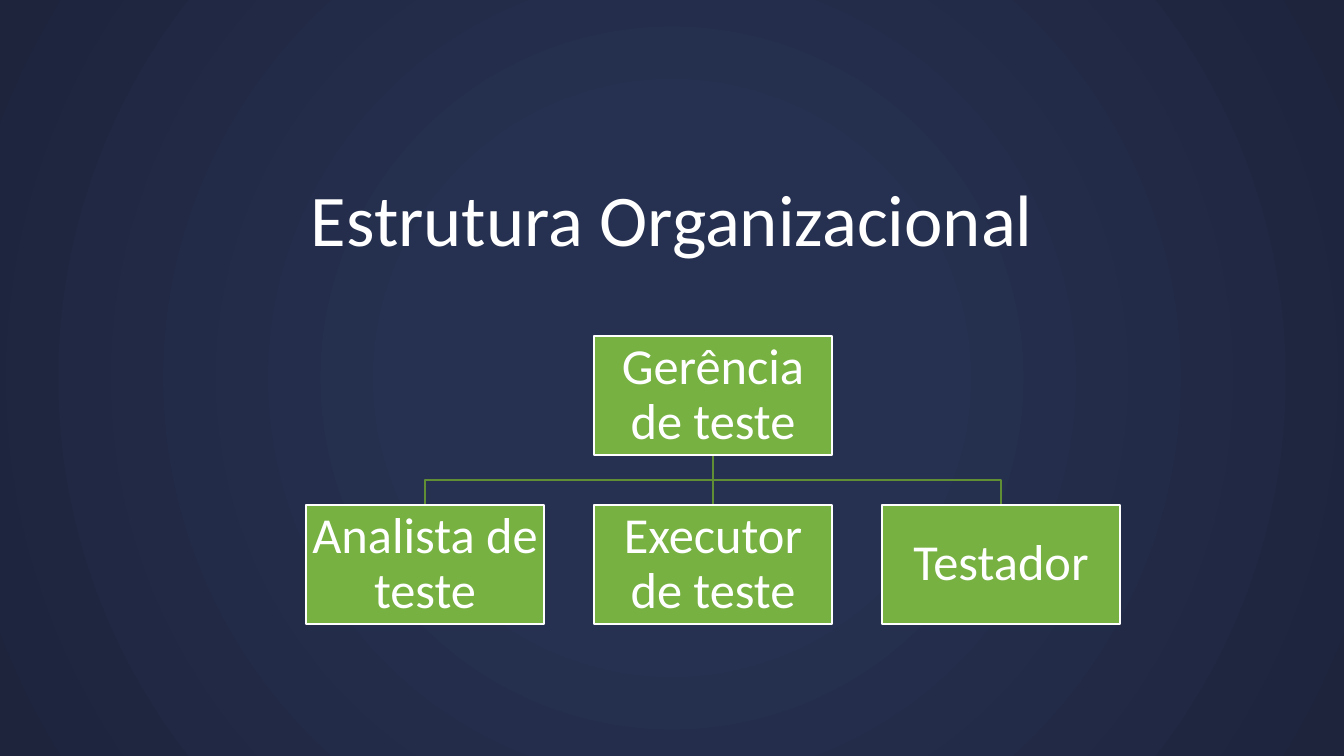
from dataclasses import dataclass

import pptx
import pptx.dml.color
import pptx.enum.shapes
import pptx.enum.text
import pptx.oxml.ns
import pptx.util
from lxml import etree

TITLE = "Estrutura Organizacional"
MANAGER = "Gerência de teste"
TEAM = ["Analista de teste", "Executor de teste", "Testador"]


@dataclass(frozen=True)
class Theme:
    font: str = "Calibri"
    title_size: int = 52
    box_size: int = 36
    text: str = "FFFFFF"
    box: str = "77B142"
    link: str = "5F8E35"
    glow: str = "263050"
    edge: str = "1D243C"


THEME = Theme()
PX = 914400 / 100.8
SLIDE_W, SLIDE_H = 1344, 756
TITLE_AREA = (168, 126, 1008, 141)
BOX_W, BOX_H, GAP = 238, 119, 50
TEAM_LEFT, CHART_TOP = 306, 336
BOX_INSET = 3


def px(length):
    return pptx.util.Emu(round(length * PX))


def rgb(code):
    return pptx.dml.color.RGBColor.from_string(code)


def paint_background(slide):
    """Radial gradient from the slide centre to its edges."""
    fill = slide.background.fill
    fill.gradient()
    stops = ((0.32, THEME.glow), (1, THEME.edge))
    for stop, (position, color) in zip(fill.gradient_stops, stops):
        stop.position = position
        stop.color.rgb = rgb(color)
    qn = pptx.oxml.ns.qn
    gradient = slide.element.find(".//" + qn("a:gradFill"))
    gradient.remove(gradient.find(qn("a:lin")))
    circle = etree.SubElement(gradient, qn("a:path"), {"path": "circle"})
    etree.SubElement(circle, qn("a:fillToRect"), dict.fromkeys("ltrb", "50000"))


def write(frame, words, size, anchor):
    frame.word_wrap = True
    frame.vertical_anchor = anchor
    paragraph = frame.paragraphs[0]
    paragraph.alignment = pptx.enum.text.PP_ALIGN.CENTER
    paragraph.line_spacing = 0.9
    run = paragraph.add_run()
    run.text = words
    run.font.name = THEME.font
    run.font.size = pptx.util.Pt(size)
    run.font.color.rgb = rgb(THEME.text)


def set_line(shape, color):
    shape.line.color.rgb = rgb(color)
    shape.line.width = pptx.util.Pt(1)


def add_box(slide, role, left, top):
    box = slide.shapes.add_shape(
        pptx.enum.shapes.MSO_SHAPE.RECTANGLE, px(left), px(top), px(BOX_W), px(BOX_H))
    box.shadow.inherit = False
    box.fill.solid()
    box.fill.fore_color.rgb = rgb(THEME.box)
    set_line(box, THEME.text)
    frame = box.text_frame
    frame.margin_left = frame.margin_right = px(BOX_INSET)
    frame.margin_top = frame.margin_bottom = px(BOX_INSET)
    write(frame, role, THEME.box_size, pptx.enum.text.MSO_ANCHOR.MIDDLE)


def add_link(slide, start_x, start_y, end_x, end_y):
    """Straight drop, or a line that turns halfway down."""
    if start_x == end_x:
        link = slide.shapes.add_connector(
            pptx.enum.shapes.MSO_CONNECTOR.STRAIGHT,
            px(start_x), px(start_y), px(end_x), px(end_y))
        etree.SubElement(link.element.spPr, pptx.oxml.ns.qn("a:effectLst"))
    else:
        turn_y = (start_y + end_y) / 2
        outline = slide.shapes.build_freeform(start_x, start_y, scale=PX)
        outline.add_line_segments(
            [(start_x, turn_y), (end_x, turn_y), (end_x, end_y)], close=False)
        link = outline.convert_to_shape()
        link.shadow.inherit = False
        link.fill.background()
    set_line(link, THEME.link)


def main():
    deck = pptx.Presentation()
    deck.slide_width, deck.slide_height = px(SLIDE_W), px(SLIDE_H)
    slide = deck.slides.add_slide(deck.slide_layouts[6])
    paint_background(slide)

    title = slide.shapes.add_textbox(*map(px, TITLE_AREA))
    write(title.text_frame, TITLE, THEME.title_size, pptx.enum.text.MSO_ANCHOR.BOTTOM)

    lefts = [TEAM_LEFT + i * (BOX_W + GAP) for i in range(len(TEAM))]
    manager_left = (lefts[0] + lefts[-1]) // 2
    manager_bottom = CHART_TOP + BOX_H
    team_top = manager_bottom + GAP
    half = BOX_W // 2
    for left in reversed(lefts):
        add_link(slide, manager_left + half, manager_bottom, left + half, team_top)
    add_box(slide, MANAGER, manager_left, CHART_TOP)
    for role, left in zip(TEAM, lefts):
        add_box(slide, role, left, team_top)

    deck.save("out.pptx")


if __name__ == "__main__":
    main()
